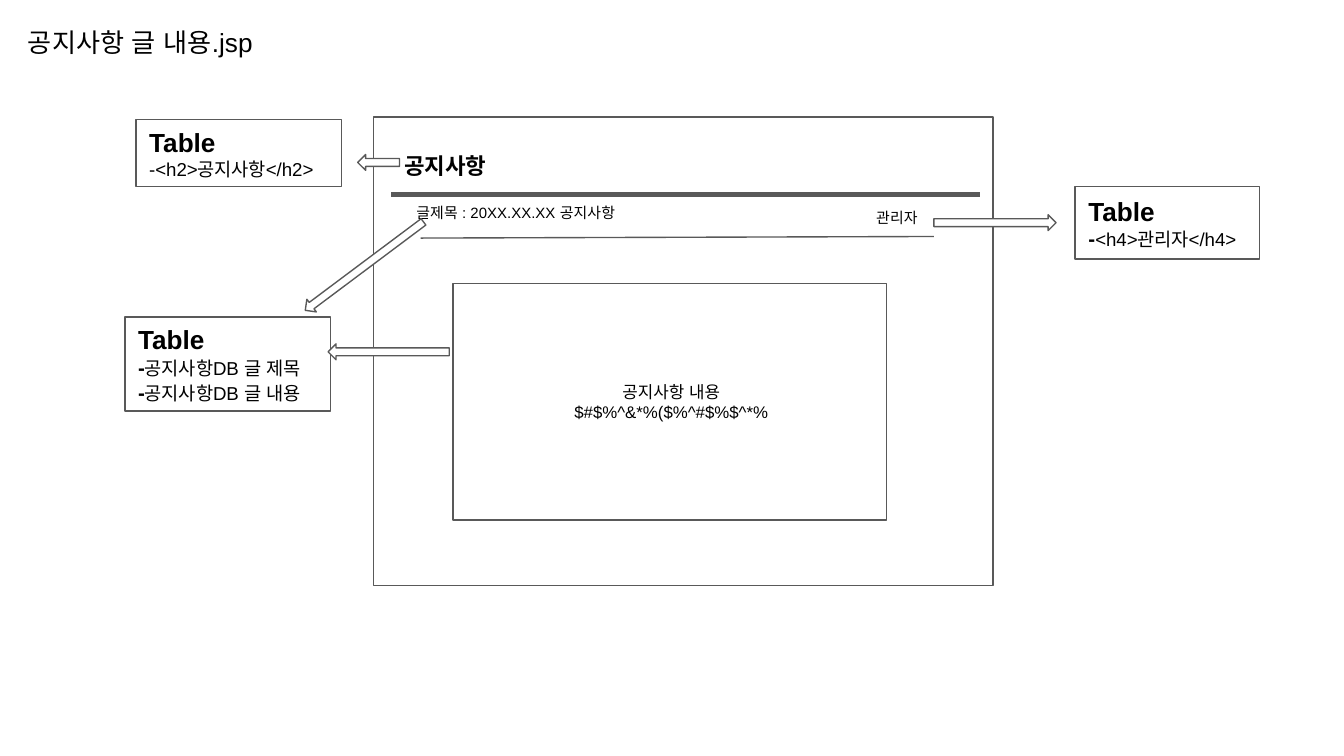
from dataclasses import dataclass

from lxml import etree
from pptx import Presentation
from pptx.dml.color import RGBColor
from pptx.enum.shapes import MSO_CONNECTOR, MSO_SHAPE
from pptx.enum.text import MSO_ANCHOR, MSO_AUTO_SIZE, PP_ALIGN
from pptx.oxml.ns import qn
from pptx.util import Cm, Pt

RECTANGLE = MSO_SHAPE.RECTANGLE
RIGHT_ARROW = MSO_SHAPE.RIGHT_ARROW
STRAIGHT = MSO_CONNECTOR.STRAIGHT
MIDDLE, TOP = MSO_ANCHOR.MIDDLE, MSO_ANCHOR.TOP
LEFT, CENTER = PP_ALIGN.LEFT, PP_ALIGN.CENTER
GROW = MSO_AUTO_SIZE.SHAPE_TO_FIT_TEXT

COLORS = {"paper": "FFFFFF", "outline": "595959", "text": "000000"}
FONT = "Arial"
OUTLINE_WIDTH = 0.75
ARROW_HEIGHT = 0.3


@dataclass(frozen=True)
class Span:
    text: str
    size: float
    bold: bool = False


Lines = list[list[Span]]


@dataclass(frozen=True)
class Box:
    """A place in centimetres and the lines of text inside it."""
    left: float
    top: float
    width: float
    height: float
    lines: Lines


@dataclass(frozen=True)
class Arrow:
    left: float
    top: float
    width: float
    rotation: float


@dataclass(frozen=True)
class Rule:
    start: tuple[float, float]
    end: tuple[float, float]
    width: float


TABLE_HEADING = [Span("Table", 14, True)]
BOLD_DASH = Span("-", 11, True)

PAGE_FRAME = Box(7.06, 2.21, 11.71, 8.86, [])
CONTENT = Box(8.56, 5.36, 8.2, 4.47, [
    [Span("공지사항 내용", 9)],
    [Span("$#$%^&*%($%^#$%$^*%", 9)],
])
LABELS = [
    Box(0.28, 0.25, 5.23, 1.12, [[Span("공지사항 글 내용.jsp", 14)]]),
    Box(7.39, 2.62, 2.9, 1.02, [[Span("공지사항", 12, True)]]),
    Box(7.62, 3.68, 4.55, 0.86, [[Span("글제목 : 20XX.XX.XX 공지사항", 8)]]),
    Box(16.31, 3.78, 1.98, 0.86, [[Span("관리자", 8)]]),
]
TABLE_NOTES = [
    Box(2.57, 2.26, 3.89, 1.27,
        [TABLE_HEADING, [Span("-<h2>공지사항</h2>", 10)]]),
    Box(2.36, 5.99, 3.89, 1.78,
        [TABLE_HEADING,
         [BOLD_DASH, Span("공지사항DB 글 제목", 10)],
         [BOLD_DASH, Span("공지사항DB 글 내용", 10)]]),
    Box(20.32, 3.53, 3.48, 1.37,
        [TABLE_HEADING, [BOLD_DASH, Span("<h4>관리자</h4>", 10)]]),
]
RULES = [
    Rule((7.39, 3.68), (18.52, 3.68), 3),
    Rule((7.95, 4.5), (17.65, 4.47), OUTLINE_WIDTH),
]
ARROWS = [
    Arrow(6.76, 2.92, 0.79, 180),
    Arrow(5.49, 4.88, 2.79, 143.2),
    Arrow(17.65, 4.06, 2.31, 0),
    Arrow(6.2, 6.5, 2.29, 180),
]


def color(name: str) -> RGBColor:
    return RGBColor.from_string(COLORS[name])


def write_lines(text_frame, lines: Lines, alignment, anchor) -> None:
    text_frame.word_wrap = True
    text_frame.vertical_anchor = anchor
    text_frame.margin_left = text_frame.margin_top = text_frame.margin_bottom = Cm(0.25)
    text_frame.margin_right = Cm(0.2)
    for index, line in enumerate(lines):
        paragraph = text_frame.add_paragraph() if index else text_frame.paragraphs[0]
        paragraph.alignment = alignment
        for span in line:
            run = paragraph.add_run()
            run.text = span.text
            run.font.size = Pt(span.size)
            run.font.bold = span.bold
            run.font.name = FONT
            run.font.color.rgb = color("text")
            # Korean letters take their font from the East Asian slot.
            etree.SubElement(run.font._element, qn("a:ea"), typeface=FONT)


def add_outlined_shape(slide, kind, left: float, top: float,
                       width: float, height: float, filled: bool = True):
    shape = slide.shapes.add_shape(kind, Cm(left), Cm(top), Cm(width), Cm(height))
    shape.shadow.inherit = False
    if filled:
        shape.fill.solid()
        shape.fill.fore_color.rgb = color("paper")
    else:
        shape.fill.background()
    shape.line.color.rgb = color("outline")
    shape.line.width = Pt(OUTLINE_WIDTH)
    return shape


def add_box(slide, box: Box, alignment=LEFT, filled: bool = True) -> None:
    shape = add_outlined_shape(slide, RECTANGLE, box.left, box.top,
                               box.width, box.height, filled)
    write_lines(shape.text_frame, box.lines, alignment, MIDDLE)


def add_label(slide, box: Box) -> None:
    label = slide.shapes.add_textbox(Cm(box.left), Cm(box.top),
                                     Cm(box.width), Cm(box.height))
    write_lines(label.text_frame, box.lines, LEFT, TOP)
    label.text_frame.auto_size = GROW


def add_rule(slide, rule: Rule) -> None:
    connector = slide.shapes.add_connector(
        STRAIGHT, *map(Cm, rule.start), *map(Cm, rule.end))
    connector.line.color.rgb = color("outline")
    connector.line.width = Pt(rule.width)
    etree.SubElement(connector._element.spPr, qn("a:effectLst"))


def add_arrow(slide, arrow: Arrow) -> None:
    shape = add_outlined_shape(slide, RIGHT_ARROW, arrow.left, arrow.top,
                               arrow.width, ARROW_HEIGHT)
    shape.rotation = arrow.rotation


def main() -> None:
    presentation = Presentation()
    presentation.slide_width = Cm(25.4)
    presentation.slide_height = Cm(14.29)
    slide = presentation.slides.add_slide(presentation.slide_layouts[6])

    add_box(slide, PAGE_FRAME)
    for rule in RULES:
        add_rule(slide, rule)
    for label in LABELS:
        add_label(slide, label)
    add_box(slide, CONTENT, CENTER, filled=False)
    for note in TABLE_NOTES:
        add_box(slide, note)
    for arrow in ARROWS:
        add_arrow(slide, arrow)

    presentation.save("out.pptx")


if __name__ == "__main__":
    main()
